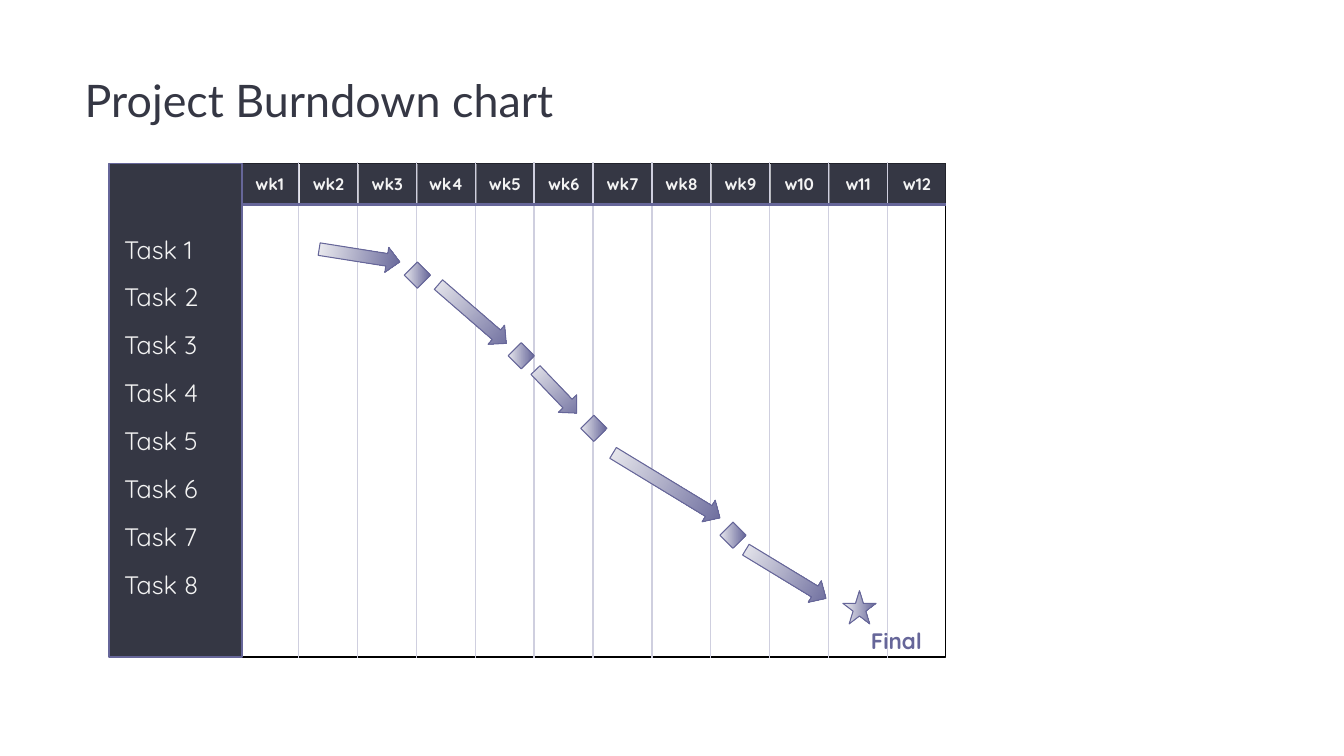
import dataclasses

import pptx
import pptx.dml.color
import pptx.enum.shapes
import pptx.enum.text
import pptx.oxml
import pptx.util

Inches = pptx.util.Inches
Pt = pptx.util.Pt
Shape = pptx.enum.shapes.MSO_SHAPE
Align = pptx.enum.text.PP_ALIGN
Anchor = pptx.enum.text.MSO_ANCHOR


@dataclasses.dataclass(frozen=True)
class Theme:
    dark: str = "353744"
    accent: str = "666699"
    grid: str = "CFCFDF"
    light_text: str = "F3F3F3"
    white: str = "FFFFFF"
    black: str = "000000"
    arrow_start: str = "EFEFF2"
    diamond_start: str = "E7E7ED"
    title_font: str = "Lato"
    body_font: str = "Quicksand"
    title_size: float = 32
    task_size: float = 18
    final_size: float = 16
    week_size: float = 12


def rgb(value):
    return pptx.dml.color.RGBColor.from_string(value)


def write_text(shape, lines, *, font, size, color, bold=False, align=Align.LEFT,
               anchor=Anchor.TOP, margins=(0.1, 0.05), gap=0):
    """Fill the shape with one paragraph per line; gap is the points between them."""
    frame = shape.text_frame
    frame.word_wrap = True
    frame.auto_size = pptx.enum.text.MSO_AUTO_SIZE.NONE
    frame.vertical_anchor = anchor
    frame.margin_left = frame.margin_right = Inches(margins[0])
    frame.margin_top = frame.margin_bottom = Inches(margins[1])
    frame.text = "\n".join(lines)
    for index, paragraph in enumerate(frame.paragraphs):
        paragraph.alignment = align
        paragraph.space_before = Pt(gap if index else 0)
        for run in paragraph.runs:
            run.font.name = font
            run.font.size = Pt(size)
            run.font.bold = bold
            run.font.color.rgb = rgb(color)


class BurndownSlide:
    def __init__(self, slide, theme):
        self.slide = slide
        self.theme = theme

    def title(self, text, left, top, width, height):
        title = self.slide.shapes.title
        title.left, title.top = Inches(left), Inches(top)
        title.width, title.height = Inches(width), Inches(height)
        write_text(title, [text], font=self.theme.title_font,
                   size=self.theme.title_size, color=self.theme.dark)

    def shape(self, kind, left, top, width, height, line=None, line_width=1):
        shape = self.slide.shapes.add_shape(
            kind, Inches(left), Inches(top), Inches(width), Inches(height))
        shape.shadow.inherit = False
        if line:
            shape.line.color.rgb = rgb(line)
            shape.line.width = Pt(line_width)
        else:
            shape.line.fill.background()
        return shape

    def box(self, left, top, width, height, fill, line=None):
        box = self.shape(Shape.RECTANGLE, left, top, width, height, line)
        box.fill.solid()
        box.fill.fore_color.rgb = rgb(fill)
        return box

    def marker(self, kind, left, top, width, height, start):
        """Draw an outlined shape shaded from the start colour to the accent."""
        marker = self.shape(kind, left, top, width, height, self.theme.accent, 0.75)
        marker.fill.gradient()
        marker.fill.gradient_angle = 0
        for stop, color, position in zip(marker.fill.gradient_stops,
                                         (start, self.theme.accent), (0, 1)):
            stop.color.rgb = rgb(color)
            stop.position = position
        return marker

    def arrow(self, left, top, length, rotation):
        arrow = self.marker(Shape.RIGHT_ARROW, left, top, length, 0.25,
                            self.theme.arrow_start)
        arrow.adjustments[1] = 0.52
        arrow.rotation = rotation

    def line(self, x1, y1, x2, y2, color, width):
        line = self.slide.shapes.add_connector(
            pptx.enum.shapes.MSO_CONNECTOR.STRAIGHT,
            Inches(x1), Inches(y1), Inches(x2), Inches(y2))
        line.line.color.rgb = rgb(color)
        line.line.width = Pt(width)
        properties = line._element.spPr
        properties.append(pptx.oxml.parse_xml(
            '<a:effectLst xmlns:a="http://schemas.openxmlformats.org/drawingml/2006/main"/>'))

    def label(self, text, left, top, width, height, **text_format):
        label = self.slide.shapes.add_textbox(
            Inches(left), Inches(top), Inches(width), Inches(height))
        write_text(label, [text], **text_format)


GRID_LEFT, GRID_TOP, GRID_WIDTH, GRID_HEIGHT = 2.39, 1.62, 6.99, 4.9
WEEKS = [f"wk{number}" if number < 10 else f"w{number}" for number in range(1, 13)]
WEEK_WIDTH = 0.57
WEEK_PITCH = (GRID_WIDTH - WEEK_WIDTH) / (len(WEEKS) - 1)
HEADER_HEIGHT = 0.4
TASKS = [f"Task {number}" for number in range(1, 9)]
# left, top, length, rotation
ARROWS = [(3.16, 2.41, 0.81, 9), (4.24, 2.99, 0.89, 40.9), (5.22, 3.76, 0.59, 46.3),
          (5.99, 4.69, 1.24, 31.3), (7.33, 5.57, 0.93, 31.3)]
MILESTONES = [(4.01, 2.6), (5.04, 3.4), (5.76, 4.12), (7.14, 5.18)]


def main():
    presentation = pptx.Presentation()
    presentation.slide_width, presentation.slide_height = Inches(13.33), Inches(7.5)
    theme = Theme()
    title_only = presentation.slide_layouts[5]
    chart = BurndownSlide(presentation.slides.add_slide(title_only), theme)
    centred = dict(font=theme.body_font, bold=True, align=Align.CENTER,
                   anchor=Anchor.MIDDLE)

    chart.title("Project Burndown chart", 0.74, 0.67, 9.4, 1.44)

    chart.box(GRID_LEFT, GRID_TOP, GRID_WIDTH, GRID_HEIGHT, theme.white, theme.black)
    for index, week in enumerate(WEEKS):
        header = chart.box(GRID_LEFT + index * WEEK_PITCH, GRID_TOP,
                           WEEK_WIDTH, HEADER_HEIGHT, theme.dark)
        write_text(header, [week], size=theme.week_size, color=theme.light_text,
                   **centred)
    for index in range(1, len(WEEKS)):
        x = GRID_LEFT + index * WEEK_PITCH - 0.01
        chart.line(x, GRID_TOP - 0.01, x, GRID_TOP + GRID_HEIGHT + 0.01, theme.grid, 1)

    chart.marker(Shape.STAR_5_POINT, 8.36, 5.86, 0.33, 0.33, theme.arrow_start)
    chart.label("Final", 8.15, 6.19, 1.48, 0.33, size=theme.final_size,
                color=theme.accent, **centred)
    header_bottom = GRID_TOP + HEADER_HEIGHT + 0.01
    chart.line(GRID_LEFT, header_bottom, GRID_LEFT + GRID_WIDTH, header_bottom,
               theme.accent, 2)

    tasks = chart.box(1.08, GRID_TOP, 1.32, GRID_HEIGHT, theme.dark, theme.accent)
    write_text(tasks, TASKS, font=theme.body_font, size=theme.task_size,
               color=theme.light_text, margins=(0.15, 0.7), gap=12.6)

    for arrow in ARROWS:
        chart.arrow(*arrow)
    for left, top in MILESTONES:
        chart.marker(Shape.DIAMOND, left, top, 0.26, 0.26, theme.diamond_start)

    presentation.save("out.pptx")


if __name__ == "__main__":
    main()
